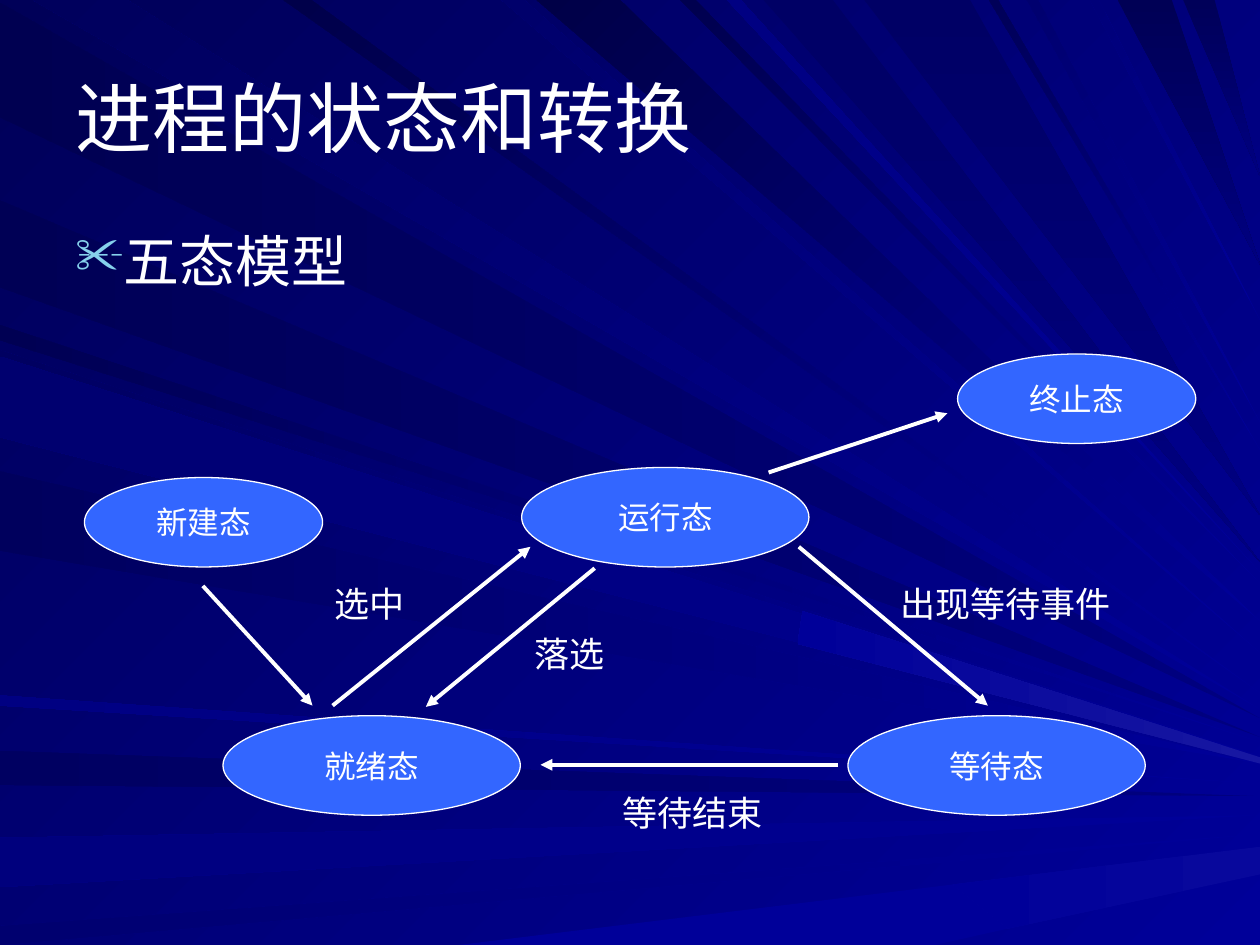
from lxml.etree import SubElement
from pptx import Presentation
from pptx.dml.color import RGBColor
from pptx.enum.shapes import MSO_CONNECTOR, MSO_SHAPE
from pptx.enum.text import MSO_ANCHOR, PP_ALIGN
from pptx.oxml.ns import qn
from pptx.util import Cm, Pt

UNIT = 0.0254
WIDTH, HEIGHT = 1000, 750

THEME = {
    "font": "Arial", "text": "FFFFFF", "line": "FFFFFF", "state": "3366FF",
    "bullet": "86D1EC", "background": ("000099", "000058", 135),
    "title_size": 44, "body_size": 32, "label_size": 20, "state_size": 18,
    "outline": 0.75, "arrow": 2.25,
}

TITLE = ("进程的状态和转换", (50, 30, 900, 125))
BODY = ("五态模型", (50, 175, 900, 495))

LARGE, SMALL = (236, 79), (189, 71)
STATES = [
    ("运行态", (414, 371), (228, 79)),
    ("就绪态", (177, 568), LARGE),
    ("等待态", (673, 568), LARGE),
    ("新建态", (67, 379), SMALL),
    ("终止态", (760, 281), SMALL),
]

ARROWS = [
    ((472, 451), (338, 561)),
    ((264, 560), (421, 434)),
    ((665, 607), (429, 607)),
    ((634, 434), (784, 560)),
    ((161, 465), (248, 560)),
    ((610, 375), (752, 328)),
]

LABEL_HEIGHT = 44
LABELS = [
    ("落选", (414, 497), 79, PP_ALIGN.LEFT),
    ("选中", (256, 457), 79, PP_ALIGN.LEFT),
    ("等待结束", (439, 623), 221, PP_ALIGN.CENTER),
    ("出现等待事件", (705, 457), 189, PP_ALIGN.LEFT),
]

LEFT_RAYS = [
    ("000080", "000051", 2, 93, 570),
    ("000080", "000061", 596, 623, 632),
    ("000099", "00007D", 665, 704, 647),
    ("000099", "00006F", 735, 750, 662),
    ("000099", "000053", 258, 270, 589),
    ("000080", "000055", 159, 228, 585),
    ("000099", "000061", 278, 342, 600),
    ("000099", "00005D", 374, 437, 606),
    ("000099", "000082", 552, 560, 622),
    ("000099", "00006F", 283, 347, 604),
]

TOP_RAYS = [
    ("000099", "00005D", 26, 101, 563),
    ("000099", "00006B", 398, 416, 518),
    ("000099", "000047", 426, 492, 493),
    ("000099", "00004F", 540, 552, 463),
    ("000065", "000080", 606, 661, 446),
    ("000055", "000080", 887, 930, 210),
    ("000059", "000080", 939, 964, 140),
    ("000099", "00004A", 225, 247, 550),
    ("000099", "000082", 577, 588, 454),
    ("000065", "000080", 686, 770, 409),
    ("000099", "000058", 785, 792, 357),
    ("000099", "00006F", 815, 824, 335),
    ("000099", "000079", 865, 872, 254),
]

GLOWS = [
    ("000099", "000099", [(364, 750), (756, 702), (800, 737), (742, 750)]),
    ("08089C", "000099", [(756, 702), (WIDTH, 672), (WIDTH, 694), (800, 737)]),
    ("1717A2", "000099", [(637, 485), (WIDTH, 601), (WIDTH, 606), (633, 511)]),
]


def place(values):
    return [Cm(value * UNIT) for value in values]


def color(name):
    return RGBColor.from_string(name)


def paint(fill, first, last, angle):
    if first == last:
        fill.solid()
        fill.fore_color.rgb = color(first)
        return
    fill.gradient()
    fill.gradient_angle = angle
    for stop, name in zip(fill.gradient_stops, (first, last)):
        stop.color.rgb = color(name)


def write(shape, text, size, alignment=PP_ALIGN.LEFT, before=0):
    shape.text_frame.text = text
    paragraph = shape.text_frame.paragraphs[0]
    paragraph.alignment = alignment
    paragraph.space_before = Pt(before)
    font = paragraph.runs[0].font
    font.name = THEME["font"]
    font.size = Pt(size)
    font.color.rgb = color(THEME["text"])
    return paragraph


def add_polygon(slide, first, last, angle, points):
    builder = slide.shapes.build_freeform(*points[0], scale=Cm(UNIT))
    builder.add_line_segments(points[1:], close=True)
    shape = builder.convert_to_shape()
    shape.shadow.inherit = False
    shape.line.fill.background()
    paint(shape.fill, first, last, angle)


def add_rays(slide):
    for first, last, top, bottom, tip in LEFT_RAYS:
        add_polygon(slide, first, last, 180, [(0, top), (WIDTH, tip), (0, bottom)])
    for first, last, left, right, tip in TOP_RAYS:
        angle = 270 if last == "000080" else 135
        add_polygon(slide, first, last, angle, [(left, 0), (WIDTH, tip), (right, 0)])
    for first, last, points in GLOWS:
        add_polygon(slide, first, last, 180, points)


def add_text(slide, text, box, size, alignment=PP_ALIGN.LEFT, before=0):
    shape = slide.shapes.add_textbox(*place(box))
    shape.text_frame.word_wrap = True
    return shape, write(shape, text, size, alignment, before)


def add_bullet(paragraph):
    properties = paragraph._p.get_or_add_pPr()
    properties.set("marL", str(Cm(0.95)))
    properties.set("indent", str(-Cm(0.95)))
    bullet_color = SubElement(properties, qn("a:buClr"))
    SubElement(bullet_color, qn("a:srgbClr"), val=THEME["bullet"])
    SubElement(properties, qn("a:buSzPct"), val="90000")
    SubElement(properties, qn("a:buChar"), char="✂")


def add_state(slide, text, corner, size):
    shape = slide.shapes.add_shape(MSO_SHAPE.OVAL, *place(corner + size))
    shape.shadow.inherit = False
    shape.fill.solid()
    shape.fill.fore_color.rgb = color(THEME["state"])
    shape.line.color.rgb = color(THEME["line"])
    shape.line.width = Pt(THEME["outline"])
    shape.text_frame.word_wrap = False
    shape.text_frame.vertical_anchor = MSO_ANCHOR.MIDDLE
    write(shape, text, THEME["state_size"], PP_ALIGN.CENTER)


def add_arrow(slide, start, end):
    arrow = slide.shapes.add_connector(MSO_CONNECTOR.STRAIGHT, *place(start + end))
    arrow.line.color.rgb = color(THEME["line"])
    arrow.line.width = Pt(THEME["arrow"])
    SubElement(arrow.line._get_or_add_ln(), qn("a:tailEnd"), type="triangle")
    SubElement(arrow._element.spPr, qn("a:effectLst"))


def main():
    presentation = Presentation()
    presentation.slide_width, presentation.slide_height = place((WIDTH, HEIGHT))
    slide = presentation.slides.add_slide(presentation.slide_layouts[6])
    paint(slide.background.fill, *THEME["background"])
    add_rays(slide)
    title, _ = add_text(slide, *TITLE, THEME["title_size"])
    title.text_frame.vertical_anchor = MSO_ANCHOR.MIDDLE
    _, paragraph = add_text(slide, *BODY, THEME["body_size"], before=8)
    add_bullet(paragraph)
    for state in STATES:
        add_state(slide, *state)
    for arrow in ARROWS:
        add_arrow(slide, *arrow)
    for text, corner, width, alignment in LABELS:
        box = corner + (width, LABEL_HEIGHT)
        add_text(slide, text, box, THEME["label_size"], alignment, before=12.5)
    presentation.save("out.pptx")


if __name__ == "__main__":
    main()
